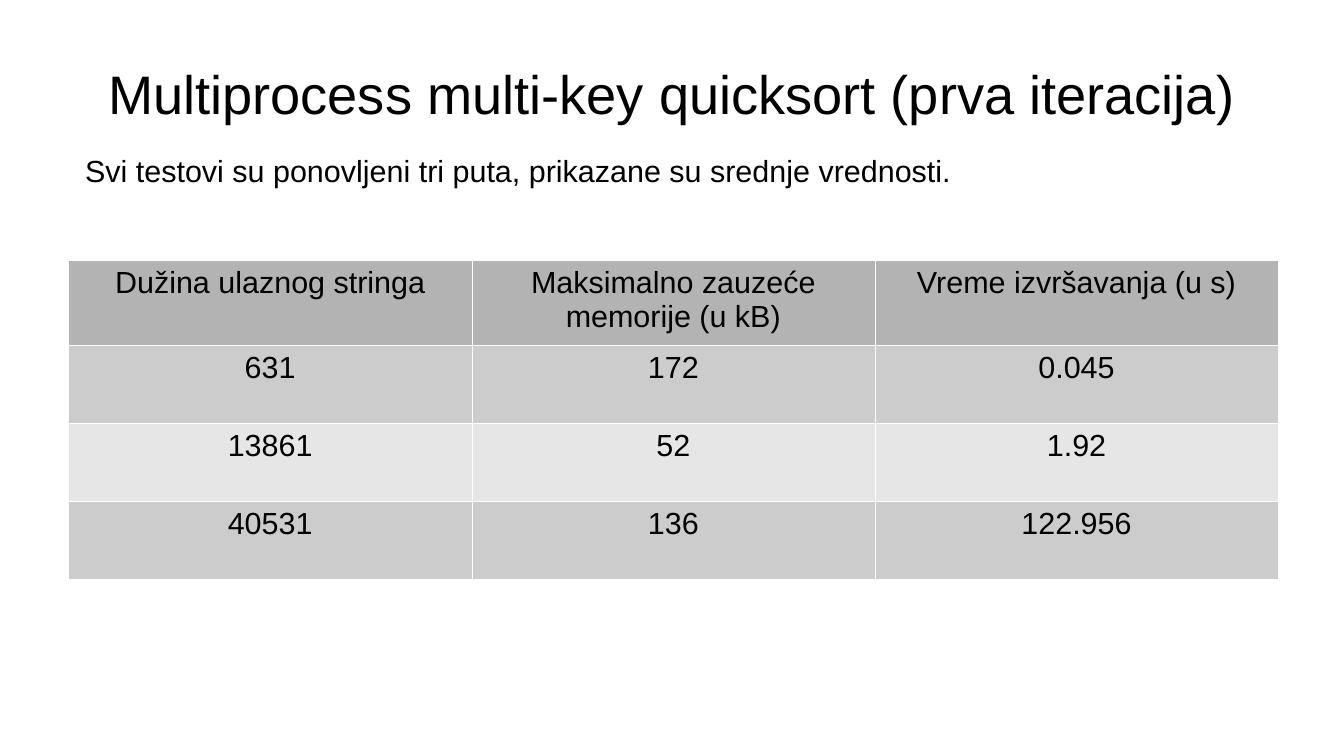
"""Builds a slide with a table of measured quicksort runs."""
from lxml import etree
from pptx import Presentation, util as u
from pptx.dml.color import RGBColor
from pptx.enum import text
from pptx.oxml.ns import qn

INK = {"text": "000000", "line": "FFFFFF", "head": "B3B3B3",
       "odd": "CCCCCC", "even": "E6E6E6"}
ROWS = [
    ("Dužina ulaznog stringa", "Maksimalno zauzeće memorije (u kB)",
     "Vreme izvršavanja (u s)"),
    ("631", "172", "0.045"),
    ("13861", "52", "1.92"),
    ("40531", "136", "122.956"),
]


def write(frame, words, size=18, align=text.PP_ALIGN.LEFT,
          anchor=text.MSO_ANCHOR.TOP, pad=(0.1, 0.05)):
    frame.word_wrap = True
    frame.vertical_anchor = anchor
    frame.margin_left = frame.margin_right = u.Inches(pad[0])
    frame.margin_top = frame.margin_bottom = u.Inches(pad[1])
    para = frame.paragraphs[0]
    para.alignment = align
    run = para.add_run()
    run.text = words
    run.font.name = "Arial"
    run.font.size = u.Pt(size)
    run.font.color.rgb = RGBColor.from_string(INK["text"])


class Deck:
    def __init__(self, wide, high):
        self.prs = Presentation()
        self.prs.slide_width = u.Inches(wide)
        self.prs.slide_height = u.Inches(high)
        self.slide = self.prs.slides.add_slide(self.prs.slide_layouts[6])

    def area(self, *shares):
        """Turns percentages of the slide into lengths."""
        sides = (self.prs.slide_width, self.prs.slide_height) * 2
        return [round(side * part / 100) for side, part in zip(sides, shares)]

    def label(self, area, words, **style):
        box = self.slide.shapes.add_textbox(*self.area(*area))
        write(box.text_frame, words, **style)

    def border(self, cell):
        props = cell._tc.get_or_add_tcPr()
        for side in "LRTB":
            line = etree.SubElement(props, qn("a:ln" + side), w=str(u.Pt(0.06)))
            fill = etree.SubElement(line, qn("a:solidFill"))
            etree.SubElement(fill, qn("a:srgbClr"), val=INK["line"])

    def table(self, area, rows):
        grid = self.slide.shapes.add_table(
            len(rows), len(rows[0]), *self.area(*area)).table
        grid.first_row = grid.horz_banding = False
        for r, row in enumerate(rows):
            tone = "head" if r == 0 else "odd" if r % 2 else "even"
            for c, words in enumerate(row):
                cell = grid.cell(r, c)
                self.border(cell)
                cell.fill.solid()
                cell.fill.fore_color.rgb = RGBColor.from_string(INK[tone])
                cell.margin_left = cell.margin_right = u.Inches(0.1)
                cell.margin_top = cell.margin_bottom = u.Inches(0.05)
                write(cell.text_frame, words, align=text.PP_ALIGN.CENTER)


deck = Deck(11.02, 6.2)
deck.label((5, 4.03, 90, 16.6), "Multiprocess multi-key quicksort (prva iteracija)",
           size=32, align=text.PP_ALIGN.CENTER,
           anchor=text.MSO_ANCHOR.MIDDLE, pad=(0, 0))
deck.table((5.1, 34.35, 90, 41.3), ROWS)
deck.label((5.45, 19.35, 83.5, 6.13),
           "Svi testovi su ponovljeni tri puta, prikazane su srednje vrednosti.")
deck.prs.save("out.pptx")
